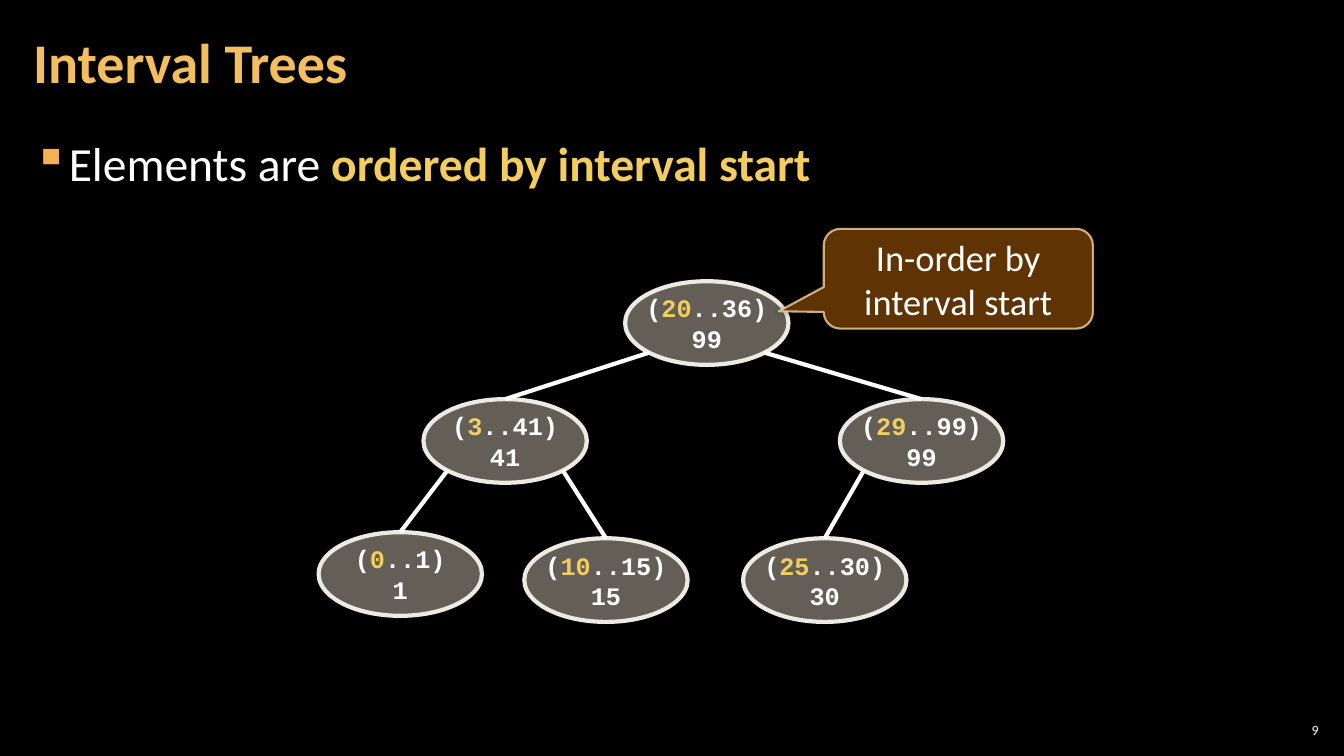
"""Build the interval tree slide."""
from lxml.etree import SubElement
from pptx import Presentation
from pptx.dml.color import RGBColor
from pptx.enum.shapes import MSO_CONNECTOR, MSO_SHAPE
from pptx.enum.text import MSO_ANCHOR, PP_ALIGN
from pptx.oxml.ns import qn
from pptx.util import Inches, Pt

COLORS = {"background": "000000", "text": "FFFFFF", "title": "F3BE60",
          "accent": "F3CD60", "bullet": "F2B254", "node": "C7BFAC",
          "node_line": "ECEAE3", "callout": "663606", "callout_line": "F8D49E"}
BODY_FONT, CODE_FONT = "Calibri", "Courier New"
TITLE = "Interval Trees"
STATEMENT = [("Elements are ", "text", False), ("ordered by interval start", "accent", True)]
CALLOUT = "In-order by interval start"
PAGE = "9"

NODE_WIDTH, NODE_HEIGHT = 1.62, 0.83
# start: (end, subtree maximum, left, top)
NODES = {20: (36, 99, 6.2, 2.79), 29: (99, 99, 8.33, 3.96), 3: (41, 41, 4.2, 3.96),
         0: (1, 1, 3.16, 5.28), 10: (15, 15, 5.2, 5.34), 25: (30, 30, 7.37, 5.34)}
PARENTS = {0: 3, 10: 3, 25: 29, 3: 20, 29: 20}
DIAGONAL = 0.5 ** 0.5


def color(name):
    return RGBColor.from_string(COLORS[name])


def set_alpha(fill_parent, percent):
    rgb = next(fill_parent.iter(qn("a:srgbClr")))
    SubElement(rgb, qn("a:alpha")).set("val", str(percent * 1000))


def add_run(paragraph, text, size, tint="text", bold=False, font=BODY_FONT):
    run = paragraph.add_run()
    run.text = text
    run.font.size, run.font.name, run.font.bold = Pt(size), font, bold
    run.font.color.rgb = color(tint)


def add_text(slide, left, top, width, height, anchor, side_inset):
    frame = slide.shapes.add_textbox(*map(Inches, (left, top, width, height))).text_frame
    frame.word_wrap, frame.vertical_anchor = True, anchor
    frame.margin_left = frame.margin_right = Inches(side_inset)
    frame.margin_top = frame.margin_bottom = Inches(0.04)
    return frame.paragraphs[0]


def add_panel(slide, kind, box, fill, fill_alpha, line, line_width):
    panel = slide.shapes.add_shape(kind, *map(Inches, box))
    panel.shadow.inherit = False
    panel.fill.solid()
    panel.fill.fore_color.rgb = color(fill)
    set_alpha(panel._element.spPr.find(qn("a:solidFill")), fill_alpha)
    panel.line.color.rgb, panel.line.width = color(line), Pt(line_width)
    panel.text_frame.vertical_anchor = MSO_ANCHOR.MIDDLE
    return panel


def add_node(slide, start):
    end, maximum, left, top = NODES[start]
    node = add_panel(slide, MSO_SHAPE.OVAL, (left, top, NODE_WIDTH, NODE_HEIGHT),
                     "node", 50, "node_line", 3)
    frame = node.text_frame
    frame.word_wrap = False
    rows = [[("(", "text"), (str(start), "accent"), (f"..{end})", "text")],
            [(str(maximum), "text")]]
    for paragraph, row in zip((frame.paragraphs[0], frame.add_paragraph()), rows):
        paragraph.alignment = PP_ALIGN.CENTER
        for text, tint in row:
            add_run(paragraph, text, 18, tint, True, CODE_FONT)
    return node


def add_edge(slide, child, parent, ovals):
    left, top = NODES[parent][2:]
    side = -1 if child < parent else 1
    x = left + NODE_WIDTH / 2 * (1 + side * DIAGONAL)
    y = top + NODE_HEIGHT / 2 * (1 + DIAGONAL)
    edge = slide.shapes.add_connector(MSO_CONNECTOR.STRAIGHT, 0, 0, Inches(x), Inches(y))
    edge.begin_connect(ovals[child], 0)
    edge.line.color.rgb, edge.line.width = color("text"), Pt(3)
    SubElement(edge._element.spPr, qn("a:effectLst"))


def add_callout(slide):
    callout = add_panel(slide, MSO_SHAPE.ROUNDED_RECTANGULAR_CALLOUT, (8.17, 2.27, 2.67, 0.99),
                        "callout", 95, "callout_line", 1.5)
    for index, value in enumerate((-0.667, 0.326, 0.167)):
        callout.adjustments[index] = value
    properties = callout._element.spPr
    set_alpha(properties.find(qn("a:ln")), 80)
    shadow = SubElement(properties.find(qn("a:effectLst")), qn("a:outerShdw"),
                        blurRad=str(Pt(5)), dist="0", dir="0")
    SubElement(shadow, qn("a:srgbClr"), val=COLORS["background"])
    set_alpha(shadow, 40)
    callout.text_frame.word_wrap = True
    paragraph = callout.text_frame.paragraphs[0]
    paragraph.alignment = PP_ALIGN.CENTER
    add_run(paragraph, CALLOUT, 26)


def add_statement(slide):
    paragraph = add_text(slide, 0.21, 1.26, 12.91, 6.09, MSO_ANCHOR.TOP, 0.12)
    paragraph.line_spacing, paragraph.space_after = 1.05, Pt(6)
    properties = paragraph._p.get_or_add_pPr()
    properties.set("marL", str(Inches(0.33)))
    properties.set("indent", str(Inches(-0.33)))
    bullet_color = SubElement(properties, qn("a:buClr"))
    SubElement(bullet_color, qn("a:srgbClr"), val=COLORS["bullet"])
    SubElement(properties, qn("a:buChar"), char="▪")
    for text, tint, bold in STATEMENT:
        add_run(paragraph, text, 34, tint, bold)


def main():
    deck = Presentation()
    deck.slide_width, deck.slide_height = Inches(13.33), Inches(7.5)
    slide = deck.slides.add_slide(deck.slide_layouts[6])
    slide.background.fill.solid()
    slide.background.fill.fore_color.rgb = color("background")

    page = add_text(slide, 12.65, 7.14, 0.47, 0.21, MSO_ANCHOR.MIDDLE, 0.04)
    page.alignment = PP_ALIGN.RIGHT
    add_run(page, PAGE, 10)
    add_statement(slide)
    title = add_text(slide, 0.21, 0.04, 10.47, 1.21, MSO_ANCHOR.MIDDLE, 0.12)
    title.line_spacing = 0.9
    add_run(title, TITLE, 40, "title", True)

    ovals = {start: add_node(slide, start) for start in NODES}
    for child, parent in PARENTS.items():
        add_edge(slide, child, parent, ovals)
    add_callout(slide)
    deck.save("out.pptx")


if __name__ == "__main__":
    main()
